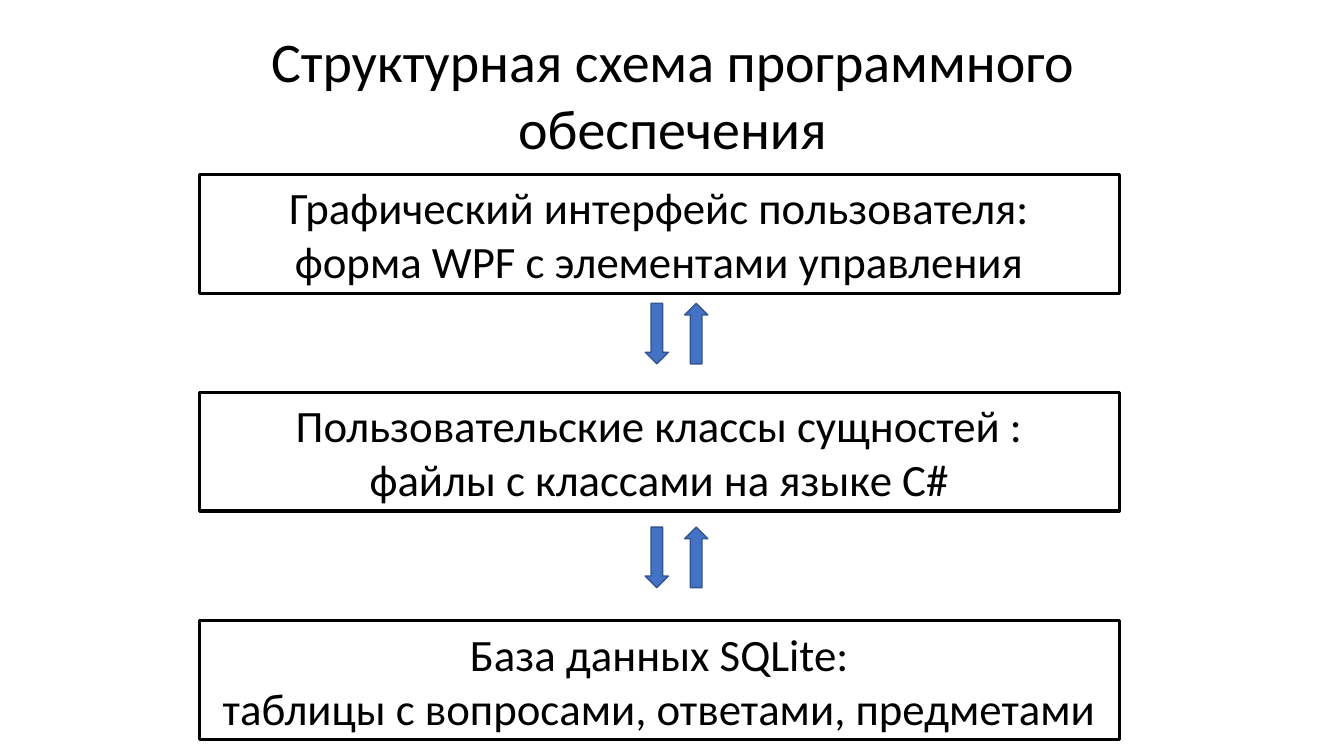
"""Builds a slide showing the three layers of a quiz program."""
from pptx import Presentation
from pptx.dml.color import RGBColor
from pptx.enum.shapes import MSO_SHAPE as Shape
from pptx.enum.text import MSO_ANCHOR as Anchor, PP_ALIGN as Align
from pptx.util import Emu, Pt

PX = 9144
FONT = "Calibri"
BLACK = RGBColor(0x00, 0x00, 0x00)
BLUE = RGBColor(0x44, 0x72, 0xC4)
DARK_BLUE = RGBColor(0x32, 0x54, 0x91)

TITLE = "Структурная схема программного обеспечения"
LAYERS = [
    (173, "Графический интерфейс пользователя:\vформа WPF с элементами управления"),
    (389, "Пользовательские классы сущностей :\vфайлы с классами на языке C#"),
    (616, "База данных SQLite:\vтаблицы с вопросами, ответами, предметами"),
]
ARROW_TOPS = [301, 523]
ARROW_COLUMNS = [(640, 0), (679, 180)]


def px(*lengths):
    """Turn px lengths into EMU."""
    return [Emu(length * PX) for length in lengths]


def write_text(shape, text, size):
    """Put centred black text into a shape."""
    frame = shape.text_frame
    frame.word_wrap = True
    frame.vertical_anchor = Anchor.MIDDLE
    para = frame.paragraphs[0]
    para.text = text
    para.alignment = Align.CENTER
    for span in para.runs:
        span.font.name = FONT
        span.font.size = Pt(size)
        span.font.color.rgb = BLACK


def add_title(page):
    """Place and fill the title placeholder."""
    title = page.shapes.title
    title.left, title.top, title.width, title.height = px(126, 20, 1082, 145)
    write_text(title, TITLE, 40)


def add_layer(page, top, text):
    """Add an outlined box for one program layer."""
    box = page.shapes.add_shape(Shape.RECTANGLE, *px(198, top, 912, 118))
    box.shadow.inherit = False
    box.fill.background()
    box.line.color.rgb = BLACK
    box.line.width = Pt(2.25)
    write_text(box, text, 32)


def add_arrow(page, left, top, rotation):
    """Add a block arrow, pointing down unless rotated."""
    arrow = page.shapes.add_shape(Shape.DOWN_ARROW, *px(left, top, 23, 60))
    arrow.rotation = rotation
    arrow.shadow.inherit = False
    arrow.fill.solid()
    arrow.fill.fore_color.rgb = BLUE
    arrow.line.color.rgb = DARK_BLUE
    arrow.line.width = Pt(1)


def main():
    """Build and save the deck."""
    deck = Presentation()
    deck.slide_width, deck.slide_height = px(1333, 750)
    page = deck.slides.add_slide(deck.slide_layouts.get_by_name("Title Only"))
    for top in ARROW_TOPS:
        for left, rotation in ARROW_COLUMNS:
            add_arrow(page, left, top, rotation)
    add_title(page)
    for top, text in LAYERS:
        add_layer(page, top, text)
    deck.save("out.pptx")


if __name__ == "__main__":
    main()
